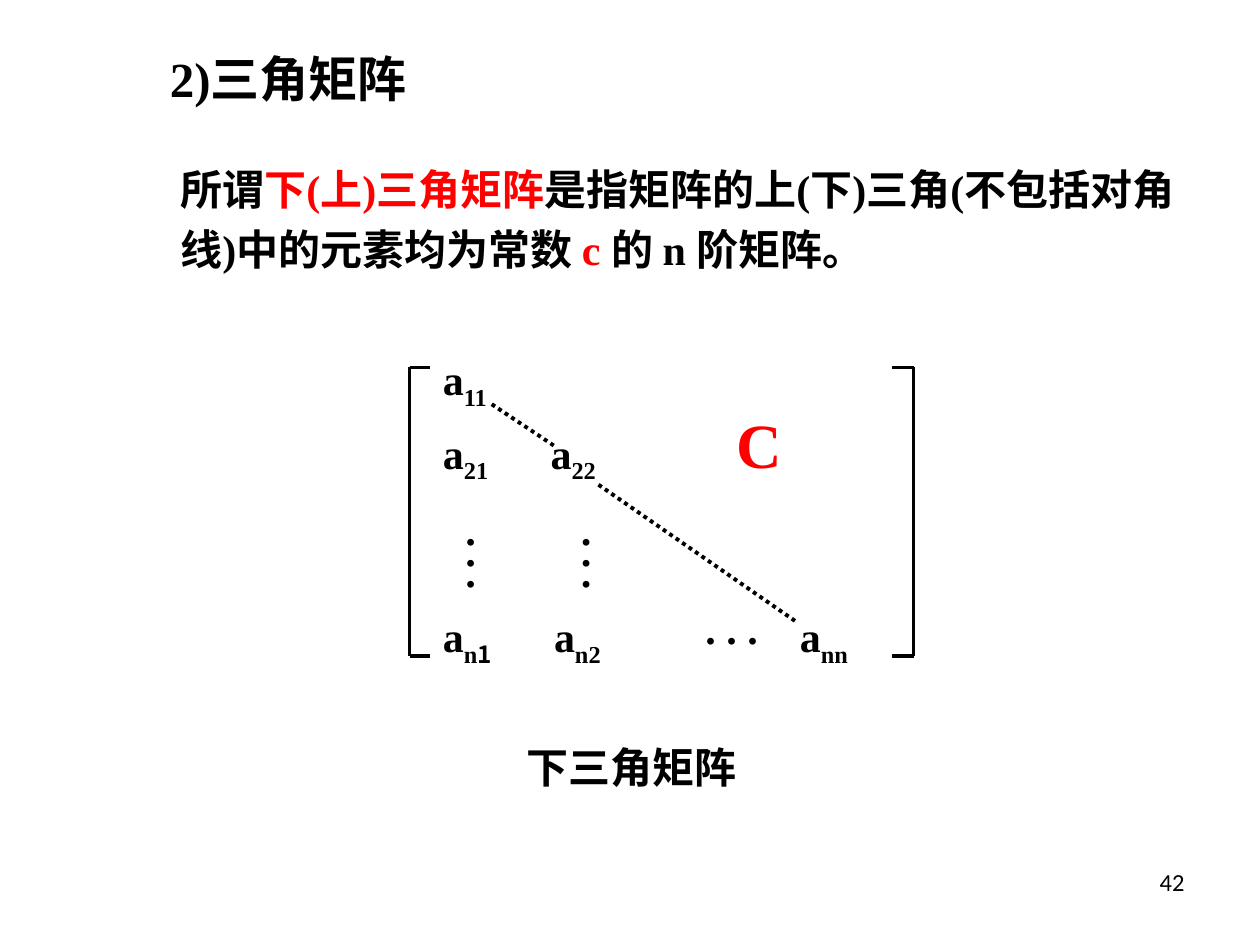
from dataclasses import dataclass

from lxml.etree import SubElement
from pptx import Presentation
from pptx.dml.color import RGBColor
from pptx.enum.dml import MSO_LINE
from pptx.enum.shapes import MSO_CONNECTOR
from pptx.enum.text import PP_ALIGN
from pptx.oxml.ns import qn
from pptx.util import Pt


@dataclass(frozen=True)
class Theme:
    ink: RGBColor = RGBColor(0, 0, 0)
    accent: RGBColor = RGBColor(255, 0, 0)
    serif: str = "Times New Roman"
    cjk: str = "Noto Sans CJK SC"
    sans: str = "Calibri"
    title: int = 28
    body: int = 24
    constant: int = 36
    number: int = 14
    rule: float = 2.25


THEME = Theme()


def add_run(paragraph, text, size=THEME.body, color=THEME.ink, face=THEME.serif,
            bold=True, subscript=False):
    run = paragraph.add_run()
    run.text = text
    run.font.size = Pt(size)
    run.font.bold = bold
    run.font.color.rgb = color
    run.font.name = face
    properties = run._r.get_or_add_rPr()
    SubElement(properties, qn("a:ea")).set("typeface", THEME.cjk)
    if subscript:
        properties.set("baseline", "-25000")


def add_text(slide, box, runs, vertical=False):
    frame = slide.shapes.add_textbox(*map(Pt, box)).text_frame
    frame.word_wrap = True
    across, along = (3.6, 7.2) if vertical else (7.2, 3.6)
    frame.margin_left = frame.margin_right = Pt(across)
    frame.margin_top = frame.margin_bottom = Pt(along)
    if vertical:
        frame._txBody.bodyPr.set("vert", "eaVert")
    paragraph = frame.paragraphs[0]
    for text, options in runs:
        add_run(paragraph, text, **options)
    return paragraph


def add_rule(slide, start, end, dotted=False):
    rule = slide.shapes.add_connector(MSO_CONNECTOR.STRAIGHT, *map(Pt, (*start, *end)))
    rule.line.color.rgb = THEME.ink
    rule.line.width = Pt(THEME.rule)
    if dotted:
        rule.line.dash_style = MSO_LINE.ROUND_DOT
    SubElement(rule._element.spPr, qn("a:effectLst"))


def add_title(slide, box):
    add_text(slide, box, [("2)三角矩阵", {"size": THEME.title})])


def add_definition(slide, box):
    red = {"color": THEME.accent}
    paragraph = add_text(slide, box, [
        ("所谓", {}),
        ("下(上)三角矩阵", red),
        ("是指矩阵的上(下)三角(不包括对角线)中的元素均为常数 ", {}),
        ("c ", red),
        ("的 n 阶矩阵。", {}),
    ])
    paragraph.line_spacing = 1.2


def add_brackets(slide, box):
    left, top, width, height = box
    bottom = top + height
    for edge, inward in ((left, 12), (left + width, -12)):
        add_rule(slide, (edge, top), (edge, bottom))
        for y in (top, bottom):
            add_rule(slide, (edge, y), (edge + inward, y))


def add_matrix(slide, box):
    left, top, width, height = box
    add_brackets(slide, box)
    sub = {"subscript": True}
    entries = [
        (12, -11.5, [("11", sub)]),
        (12, 30.5, [("21", sub)]),
        (73.5, 30.5, [("22", sub)]),
        (12, 135.5, [("n", sub), ("1", {**sub, "face": THEME.cjk})]),
        (75.5, 135.5, [("n2", sub)]),
        (216, 135.5, [("nn", sub)]),
    ]
    for x, y, index in entries:
        add_text(slide, (left + x, top + y, 60, 40), [("a", {}), *index])

    dots = [(". . .", {})]
    add_text(slide, (left + 162, top + 131, 96, 36), dots)
    for x in (18, 84):
        add_text(slide, (left + x, top + 90, 43, 84), dots, vertical=True)

    for x1, y1, x2, y2 in ((47, 21, 83, 45), (108, 67, 222, 146)):
        add_rule(slide, (left + x1, top + y1), (left + x2, top + y2), dotted=True)

    add_text(slide, (left + 180, top + 18, width / 2, 50),
             [("C", {"size": THEME.constant, "color": THEME.accent})])


def add_caption(slide, box):
    add_text(slide, box, [("下三角矩阵", {})])


def add_page_number(slide, box):
    number = {"size": THEME.number, "face": THEME.sans, "bold": False}
    add_text(slide, box, [("42", number)]).alignment = PP_ALIGN.RIGHT


def main():
    deck = Presentation()
    deck.slide_width, deck.slide_height = Pt(720), Pt(540)
    slide = deck.slides.add_slide(deck.slide_layouts[6])
    add_title(slide, (90, 24, 402, 41))
    add_definition(slide, (96, 84, 588, 76))
    add_matrix(slide, (234, 210, 288, 165))
    add_caption(slide, (294, 420, 372, 36))
    add_page_number(slide, (516, 492, 168, 37.5))
    deck.save("out.pptx")


if __name__ == "__main__":
    main()
